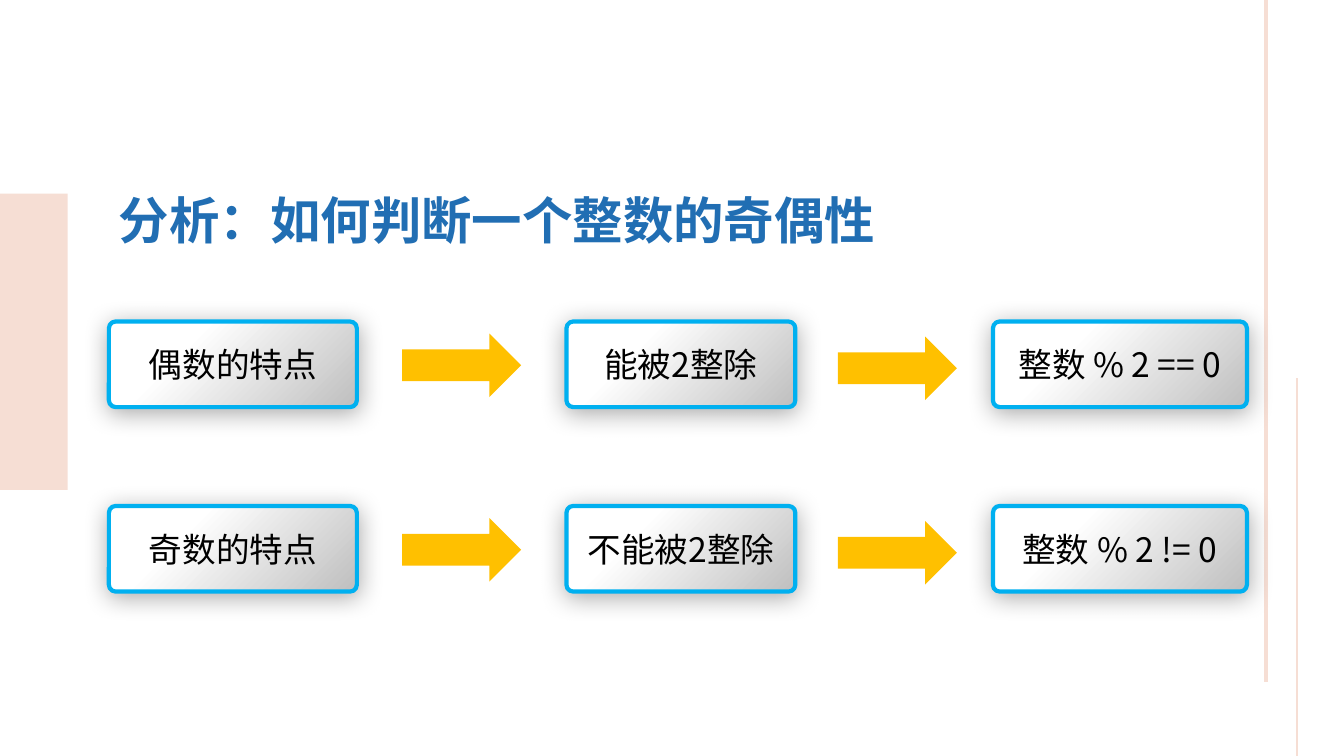
from lxml import etree
from pptx import Presentation
from pptx import util as u
from pptx.dml.color import RGBColor
from pptx.enum import shapes, text
from pptx.oxml import ns

W, H = u.Inches(13.33), u.Inches(7.5)
FONT = "Noto Sans CJK SC"
COLORS = {
    "title": "216EB3", "text": "000000", "white": "FFFFFF", "grey": "BFBFBF",
    "border": "00B0F0", "arrow": "FFC000", "pink": "F6DED4", "shadow": "000000",
}
BOX_COLUMNS = [(8.1, 18.45), (42.15, 17.03), (73.88, 18.9)]
ARROW_COLUMNS = [(29.93, 1.6), (62.35, 2)]
ROWS = [42.53, 66.93]
BOX_HEIGHT = 11.33
STEPS = [
    ["偶数的特点", "能被2整除", "整数 % 2 == 0"],
    ["奇数的特点", "不能被2整除", "整数 % 2 != 0"],
]


def rgb(name):
    """Return the named colour."""
    return RGBColor.from_string(COLORS[name])


def area(x, y, w, h):
    """Turn percentages of the slide into left, top, width and height."""
    return [round(v * size / 100) for v, size in zip((x, y, w, h), (W, H, W, H))]


def write(sp, words, size, color, bold=False, align="LEFT", anchor="TOP"):
    """Put one formatted paragraph into a shape."""
    tf = sp.text_frame
    tf.word_wrap = True
    tf.auto_size = text.MSO_AUTO_SIZE.NONE
    tf.vertical_anchor = getattr(text.MSO_ANCHOR, anchor)
    p = tf.paragraphs[0]
    p.alignment = getattr(text.PP_ALIGN, align)
    r = p.add_run()
    r.text = words
    r.font.size, r.font.bold, r.font.name = u.Pt(size), bold, FONT
    r.font.color.rgb = rgb(color)
    ea = etree.Element(ns.qn("a:ea"), typeface=FONT)
    r.font._element.find(ns.qn("a:latin")).addnext(ea)


def add_block(s, kind, box, fill):
    """Add a plain shape without outline or shadow."""
    sp = s.shapes.add_shape(getattr(shapes.MSO_SHAPE, kind), *area(*box))
    sp.shadow.inherit = False
    sp.fill.solid()
    sp.fill.fore_color.rgb = rgb(fill)
    sp.line.fill.background()
    return sp


def add_rule(s, x, top, bottom, width):
    """Add a vertical decorative line."""
    left, y1, _, y2 = area(x, top, 0, bottom)
    line = s.shapes.add_connector(shapes.MSO_CONNECTOR.STRAIGHT, left, y1, left, y2)
    line.line.color.rgb = rgb("pink")
    line.line.width = u.Pt(width)
    etree.SubElement(line._element.spPr, ns.qn("a:effectLst"))


def add_shadow(sp):
    """Give a shape a soft shadow below."""
    effects = sp._element.spPr.find(ns.qn("a:effectLst"))
    outer = etree.SubElement(
        effects, ns.qn("a:outerShdw"), blurRad=str(u.Pt(17.8)), dist=str(u.Pt(3)),
        dir=str(87 * 60000), algn="t", rotWithShape="0")
    color = etree.SubElement(outer, ns.qn("a:srgbClr"), val=COLORS["shadow"])
    etree.SubElement(color, ns.qn("a:alpha"), val="33000")


def add_step(s, box, words):
    """Add a rounded gradient box with centred text."""
    sp = add_block(s, "ROUNDED_RECTANGLE", box, "white")
    sp.adjustments[0] = 0.08
    sp.fill.gradient()
    sp.fill.gradient_angle = 315
    for stop, place, color in zip(sp.fill.gradient_stops, (0.3, 1), ("white", "grey")):
        stop.position, stop.color.rgb = place, rgb(color)
    sp.line.color.rgb = rgb("border")
    sp.line.width = u.Pt(3)
    add_shadow(sp)
    write(sp, words, 24, "text", align="CENTER", anchor="MIDDLE")


def add_title(s, words):
    """Place and format the slide title."""
    sp = s.shapes.title
    sp.left, sp.top, sp.width, sp.height = area(8.1, 24.4, 69.23, 10.13)
    sp.fill.solid()
    sp.fill.fore_color.rgb = rgb("white")
    sp.line.color.rgb = rgb("white")
    sp.line.width = u.Pt(0.75)
    write(sp, words, 36, "title", bold=True)


def main():
    """Build the slide and save it."""
    prs = Presentation()
    prs.slide_width, prs.slide_height = W, H
    s = prs.slides.add_slide(prs.slide_layouts[5])
    add_block(s, "RECTANGLE", (0, 25.6, 5.03, 39.2), "pink")
    add_rule(s, 94.2, 0, 90.27, 2.25)
    add_rule(s, 96.53, 50, 100, 1.5)
    add_title(s, "分析：如何判断一个整数的奇偶性")
    for y, steps in zip(ROWS, STEPS):
        for (x, w), words in zip(BOX_COLUMNS, steps):
            add_step(s, (x, y, w, BOX_HEIGHT), words)
        for x, drop in ARROW_COLUMNS:
            add_block(s, "RIGHT_ARROW", (x, y + drop, 8.85, 8.4), "arrow")
    prs.save("out.pptx")


if __name__ == "__main__":
    main()
